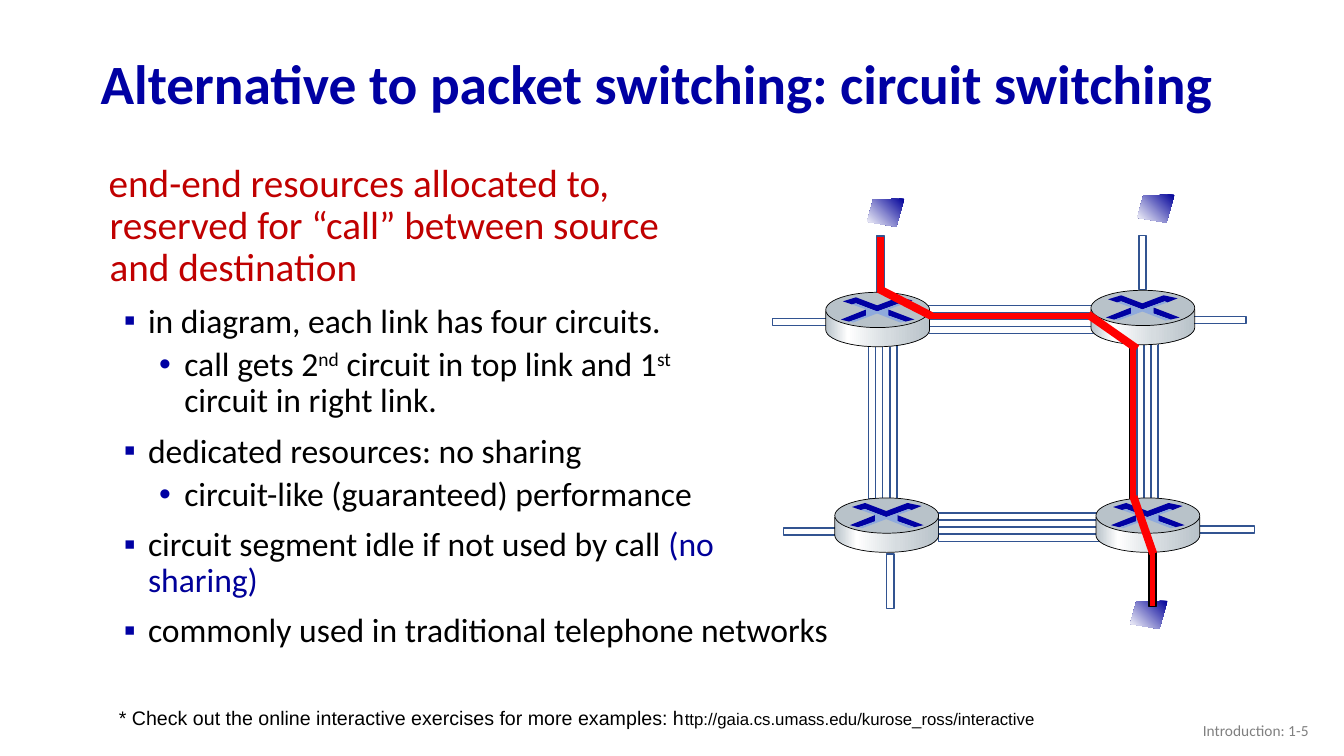
"""Build a slide that explains circuit switching with a four-router diagram."""
from dataclasses import dataclass
from math import cos, pi, sin

from lxml import etree
from pptx import Presentation
from pptx.dml.color import RGBColor
from pptx.enum.shapes import MSO_SHAPE
from pptx.enum.text import MSO_ANCHOR, PP_ALIGN
from pptx.oxml.ns import qn
from pptx.util import Cm, Pt

RECTANGLE, OVAL = MSO_SHAPE.RECTANGLE, MSO_SHAPE.OVAL
TOP, MIDDLE = MSO_ANCHOR.TOP, MSO_ANCHOR.MIDDLE
LEFT, RIGHT = PP_ALIGN.LEFT, PP_ALIGN.RIGHT

NAVY = RGBColor(0x00, 0x00, 0xA3)
BLUE = RGBColor(0x00, 0x00, 0x99)
CRIMSON = RGBColor(0xC0, 0x00, 0x00)
RED = RGBColor(0xFF, 0x00, 0x00)
BLACK = RGBColor(0x00, 0x00, 0x00)
WHITE = RGBColor(0xFF, 0xFF, 0xFF)
GRAY = RGBColor(0x80, 0x80, 0x80)
STEEL = RGBColor(0x32, 0x54, 0x91)
SILVER = RGBColor(0xB8, 0xC2, 0xC9)
MIST = RGBColor(0xD6, 0xDC, 0xE0)
SKY = RGBColor(0x8F, 0xAA, 0xDC)

BODY_STOPS = [(0, SILVER), (21, WHITE), (60, MIST), (100, SILVER)]
SCREEN_STOPS = [(0, BLUE), (100, WHITE)]
THICK = 0.07
ROUTER_WIDTH, RIM_HEIGHT = 1.03, 0.35

SCREEN = [(0.37, 0), (0.06, 0.01), (0, 0.23), (0.29, 0.28)]
ARROW_TOP = [(0.72, 0.05), (0.86, 0.08), (0.76, 0.12), (0.73, 0.11), (0.51, 0.19),
             (0.30, 0.11), (0.26, 0.12), (0.17, 0.09), (0.30, 0.05), (0.51, 0.13)]
ARROW_RIGHT = [(0.62, 0.17), (0.88, 0.27), (0.79, 0.29), (0.62, 0.23)]
ARROW_LEFT = [(0.40, 0.17), (0.40, 0.24), (0.23, 0.29), (0.15, 0.27)]
CROSS = [(0.26, 0.12), (0.30, 0.11), (0.51, 0.19), (0.73, 0.11), (0.76, 0.12),
         (0.62, 0.17), (0.62, 0.23), (0.79, 0.29), (0.74, 0.30), (0.51, 0.21),
         (0.27, 0.30), (0.24, 0.29), (0.40, 0.23), (0.40, 0.17)]
BODY = [(0, 0.19)] + [
    (ROUTER_WIDTH / 2 * (1 - cos(pi * step / 24)), 0.37 + 0.17 * sin(pi * step / 24))
    for step in range(25)] + [(ROUTER_WIDTH, 0.19)]


@dataclass
class Span:
    text: str
    color: RGBColor = BLACK
    size: float = 24
    font: str = "Calibri"
    bold: bool = False
    raised: bool = False


@dataclass
class Para:
    spans: list[Span]
    bullet: str = ""
    margin: float = 0
    indent: float = 0
    before: float = 0
    spacing: float = 0.9
    align: int = LEFT


@dataclass
class Bar:
    left: float
    top: float
    width: float
    turn: float = 0
    fill: RGBColor | None = None
    line: RGBColor | None = STEEL
    height: float = THICK


@dataclass
class Bundle:
    left: float
    top: float
    width: float
    turn: float = 0
    taken: int = -1
    line: RGBColor = STEEL


BUNDLES = [Bundle(9.21, 3.03, 1.64, taken=1), Bundle(7.86, 4.12, 1.58, 90),
           Bundle(9.31, 5.09, 1.62), Bundle(10.45, 4.13, 1.58, 90, 0, BLACK)]
STUBS = [Bar(7.77, 5.24, 0.54), Bar(8.45, 2.58, 0.56, 90, RED, height=0.08),
         Bar(8.56, 5.73, 0.54, 90), Bar(11.16, 5.71, 0.54, 90, RED, BLACK),
         Bar(11.90, 5.22, 0.54), Bar(7.66, 3.16, 0.54), Bar(11.82, 3.14, 0.54),
         Bar(11.06, 2.57, 0.54, 90)]
CALL_HOPS = [Bar(8.68, 2.96, 0.59, 27.2, RED, None, 0.08),
             Bar(10.74, 3.25, 0.59, 35, RED, None, 0.08),
             Bar(11.04, 5.17, 0.60, 70.9, RED, None, 0.08)]
SCREENS = [(11.28, 1.93), (11.21, 5.96), (8.60, 1.97)]
ROUTERS = [(8.19, 2.90), (8.28, 4.94), (10.87, 4.94), (10.82, 2.88)]


def length(inches: float) -> Cm:
    return Cm(inches * 2.54)


def paint(shape, fill=None, line=None, width: float = 1) -> None:
    shape.shadow.inherit = False
    if fill is None:
        shape.fill.background()
    else:
        shape.fill.solid()
        shape.fill.fore_color.rgb = fill
    if line is None:
        shape.line.fill.background()
    else:
        shape.line.color.rgb = line
        shape.line.width = Pt(width)


def blend(shape, stops, angle: float) -> None:
    shape.fill.gradient()
    shape.fill.gradient_angle = angle
    stop_list = shape._element.spPr.find(qn("a:gradFill")).find(qn("a:gsLst"))
    for stop in list(stop_list):
        stop_list.remove(stop)
    for position, color in stops:
        stop = etree.SubElement(stop_list, qn("a:gs"), pos=str(position * 1000))
        etree.SubElement(stop, qn("a:srgbClr"), val=str(color))


def add_bar(page, bar: Bar) -> None:
    shape = page.shapes.add_shape(RECTANGLE, *map(length, (bar.left, bar.top, bar.width, bar.height)))
    shape.rotation = bar.turn
    paint(shape, bar.fill, bar.line)


def add_bundle(page, bundle: Bundle) -> None:
    for circuit in range(4):
        shift = circuit * THICK
        left, top = (bundle.left + shift, bundle.top) if bundle.turn else (bundle.left, bundle.top + shift)
        taken = circuit == bundle.taken
        add_bar(page, Bar(left, top, bundle.width, bundle.turn, RED if taken else None,
                          bundle.line if taken else STEEL))


def add_outline(page, left: float, top: float, points, fill=None, line=None):
    corners = [(length(left + x), length(top + y)) for x, y in points]
    builder = page.shapes.build_freeform(*corners[0])
    builder.add_line_segments(corners[1:], close=True)
    shape = builder.convert_to_shape()
    paint(shape, fill, line, 0.5)
    return shape


def add_router(page, left: float, top: float) -> None:
    blend(add_outline(page, left, top, BODY, line=BLACK), BODY_STOPS, 0)
    rim = page.shapes.add_shape(OVAL, *map(length, (left, top, ROUTER_WIDTH, RIM_HEIGHT)))
    paint(rim, SILVER, BLACK, 0.5)
    for points, color in ((ARROW_TOP, NAVY), (ARROW_RIGHT, NAVY), (ARROW_LEFT, NAVY), (CROSS, SKY)):
        add_outline(page, left, top, points, color)


def add_text(page, left: float, top: float, width: float, height: float,
             paras: list[Para], anchor=TOP) -> None:
    frame = page.shapes.add_textbox(*map(length, (left, top, width, height))).text_frame
    frame.word_wrap = True
    frame.vertical_anchor = anchor
    for index, para in enumerate(paras):
        paragraph = frame.add_paragraph() if index else frame.paragraphs[0]
        properties = paragraph._p.get_or_add_pPr()
        properties.set("marL", str(length(para.margin)))
        properties.set("indent", str(length(para.indent)))
        if para.bullet:
            color = etree.SubElement(properties, qn("a:buClr"))
            etree.SubElement(color, qn("a:srgbClr"), val=str(NAVY))
            etree.SubElement(properties, qn("a:buFont"), typeface="Arial")
            etree.SubElement(properties, qn("a:buChar"), char=para.bullet)
        paragraph.alignment = para.align
        paragraph.line_spacing = para.spacing
        paragraph.space_before = Pt(para.before)
        for span in para.spans:
            run = paragraph.add_run()
            run.text = span.text
            run.font.name, run.font.size, run.font.bold = span.font, Pt(span.size), span.bold
            run.font.color.rgb = span.color
            if span.raised:
                run._r.get_or_add_rPr().set("baseline", "30000")


def point(*spans: Span, before: float = 10) -> Para:
    return Para(list(spans), "▪", 0.39, -0.24, before)


def detail(*spans: Span) -> Para:
    return Para(list(spans), "•", 0.75, -0.25, 5)


def main() -> None:
    deck = Presentation()
    deck.slide_width, deck.slide_height = length(13.33), length(7.5)
    page = deck.slides.add_slide(deck.slide_layouts[6])
    add_text(page, 0.9, 0.37, 11.5, 0.98, [Para([Span(
        "Alternative to packet switching: circuit switching", NAVY, 39.6, bold=True)])], MIDDLE)
    add_text(page, 0.98, 1.57, 6.23, 5.81, [
        Para([Span("end-end resources allocated to, reserved for “call” between source and destination",
                   CRIMSON, 28)], margin=0.01, indent=-0.01),
        point(Span("in diagram, each link has four circuits.")),
        detail(Span("call gets 2"), Span("nd", raised=True), Span(" circuit in top link and 1"),
               Span("st", raised=True), Span(" circuit in right link.")),
        point(Span("dedicated resources: no sharing")),
        detail(Span("circuit-like (guaranteed) performance")),
        point(Span("circuit segment idle if not used by call "), Span("(no sharing)", BLUE))])
    for bundle in BUNDLES:
        add_bundle(page, bundle)
    for left, top in SCREENS:
        blend(add_outline(page, left, top, SCREEN), SCREEN_STOPS, 225)
    for stub in STUBS:
        add_bar(page, stub)
    for left, top in ROUTERS:
        add_router(page, left, top)
    for hop in CALL_HOPS:
        add_bar(page, hop)
    add_text(page, 1.08, 6.95, 10, 0.34, [Para([
        Span("* Check out the online interactive exercises for more examples: h", size=14, font="Arial"),
        Span("ttp://gaia.cs.umass.edu/kurose_ross/interactive", size=12, font="Arial")], spacing=1)])
    add_text(page, 0.98, 6.04, 7.53, 0.99, [
        point(Span("commonly used in traditional telephone networks"), before=0)])
    add_text(page, 10.08, 7.05, 3, 0.4, [
        Para([Span("Introduction: 1-5", GRAY, 11)], spacing=1, align=RIGHT)], MIDDLE)
    deck.save("out.pptx")


if __name__ == "__main__":
    main()
